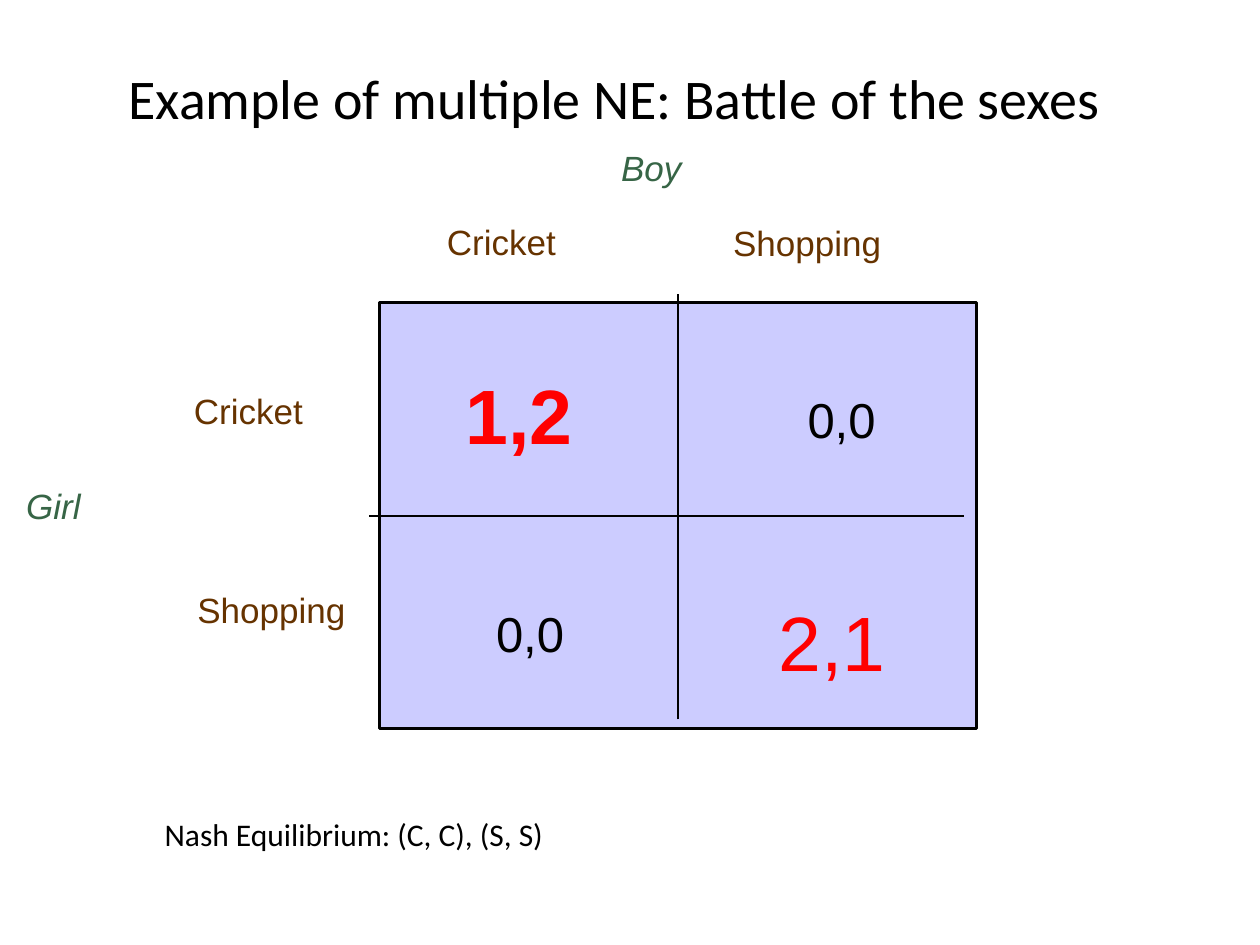
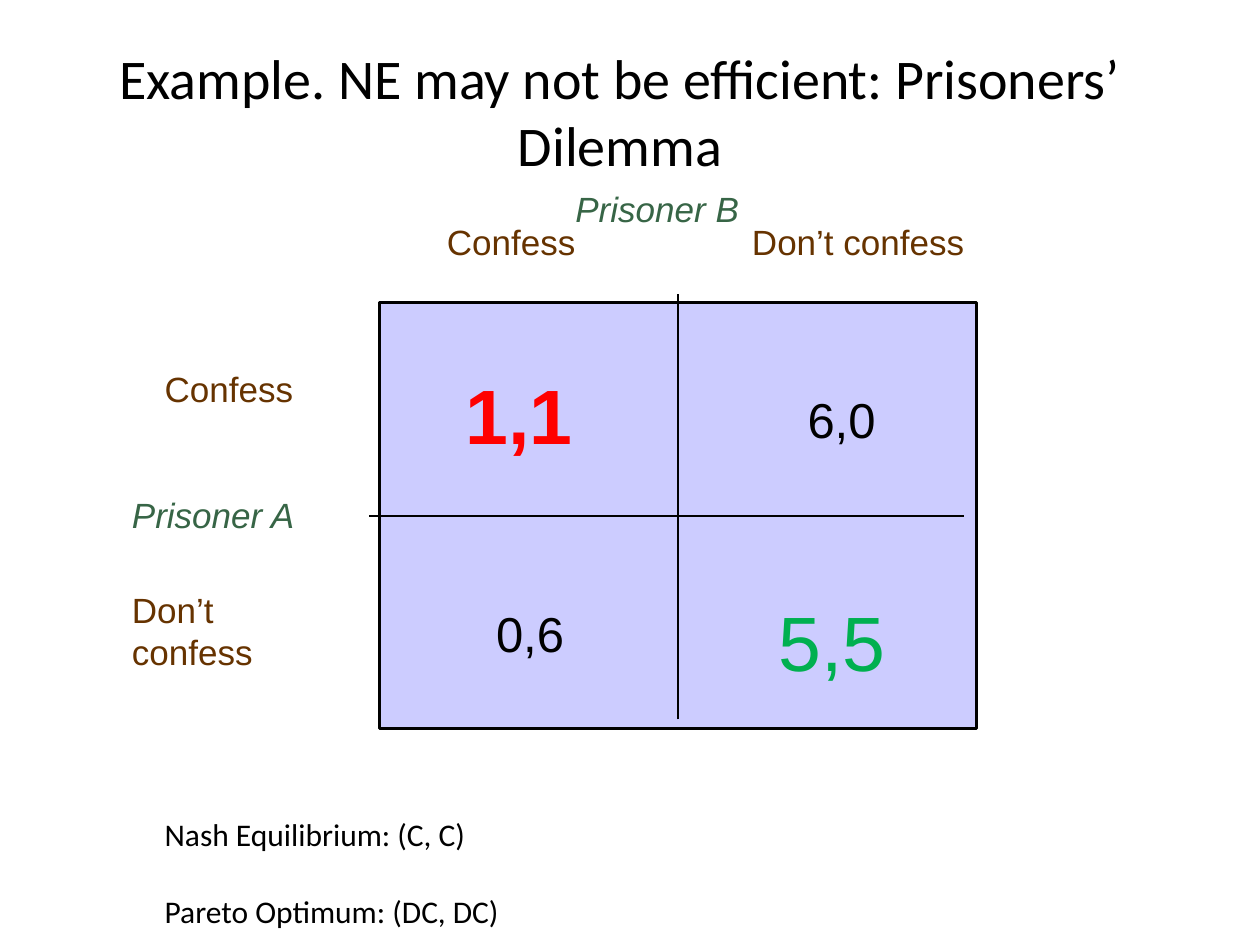
from dataclasses import dataclass

from lxml import etree
from pptx import Presentation
from pptx import util as u
from pptx.dml.color import RGBColor
from pptx.enum import shapes, text
from pptx.oxml import ns


@dataclass(frozen=True)
class Theme:
    black: str = "000000"
    red: str = "FF0000"
    green: str = "00B050"
    player: str = "376546"
    strategy: str = "663300"
    matrix: str = "CCCCFF"
    body_font: str = "Calibri"
    game_font: str = "Arial"
    title_size: int = 32
    label_size: int = 20
    note_size: int = 18
    payoff_size: int = 28
    key_size: int = 44


THEME = Theme()
MATRIX = (7.65, 6.1, 12.04, 8.59)
PAYOFF_BOXES = [
    (9.14, 7.29, 3.12, 2.13),
    (16.03, 7.72, 2.18, 1.45),
    (9.75, 12.04, 2.18, 1.45),
    (15.44, 11.86, 3.12, 2.13),
]


def cm(*lengths):
    return [u.Cm(length) for length in lengths]


def style(tf, size, color, font, bold=False, italic=False):
    for p in tf.paragraphs:
        for r in p.runs:
            r.font.size = u.Pt(size)
            r.font.name = font
            r.font.bold = bold
            r.font.italic = italic
            r.font.color.rgb = RGBColor.from_string(color)


def add_title(slide, words, left, top):
    sp = slide.shapes.title
    sp.left, sp.top, sp.width, sp.height = cm(left, top, 22.86, 3.18)
    tf = sp.text_frame
    tf.text = words
    tf.vertical_anchor = text.MSO_ANCHOR.MIDDLE
    tf.paragraphs[0].alignment = text.PP_ALIGN.CENTER
    style(tf, THEME.title_size, THEME.black, THEME.body_font)


def add_text(parent, words, box, size, color, font=THEME.game_font, **emphasis):
    tf = parent.add_textbox(*cm(*box)).text_frame
    tf.word_wrap = True
    tf.text = words
    style(tf, size, color, font, **emphasis)
    return tf


def add_player(slide, words, left, top):
    add_text(slide.shapes, words, (left, top, 4.06, 1.09),
             THEME.label_size, THEME.player, italic=True)


def add_strategy(slide, words, left, top, width=4.55):
    height = 1.09 + 0.87 * words.count("\n")
    add_text(slide.shapes, words, (left, top, width, height),
             THEME.label_size, THEME.strategy)


def add_rule(slide, *ends):
    line = slide.shapes.add_connector(shapes.MSO_CONNECTOR.STRAIGHT, *cm(*ends))
    line.line.color.rgb = RGBColor.from_string(THEME.black)
    line.line.width = u.Pt(1)
    etree.SubElement(line._element.spPr, ns.qn("a:effectLst"))


def add_matrix(slide, payoffs, last_color):
    left, top, width, height = MATRIX
    sp = slide.shapes.add_shape(shapes.MSO_SHAPE.RECTANGLE, *cm(*MATRIX))
    sp.shadow.inherit = False
    sp.fill.solid()
    sp.fill.fore_color.rgb = RGBColor.from_string(THEME.matrix)
    sp.line.color.rgb = RGBColor.from_string(THEME.black)
    sp.line.width = u.Pt(2)

    group = slide.shapes.add_group_shape().shapes
    colors = (THEME.red, THEME.black, THEME.black, last_color)
    for i, (payoff, box, color) in enumerate(zip(payoffs, PAYOFF_BOXES, colors)):
        size = THEME.payoff_size if color == THEME.black else THEME.key_size
        add_text(group, payoff, box, size, color, bold=i == 0)

    mid_x, mid_y = left + width / 2, top + height / 2
    add_rule(slide, left - 0.21, mid_y, left + width - 0.26, mid_y)
    add_rule(slide, mid_x, top + height - 0.19, mid_x, top - 0.18)


def add_note(slide, words):
    height = 1.8 + 0.77 * words.count("\n")
    tf = add_text(slide.shapes, words, (3.07, 16.31, 11.33, height),
                  THEME.note_size, THEME.black, THEME.body_font)
    for p in tf.paragraphs[1:]:
        p.space_before = u.Pt(22)


def add_game(prs, title, payoffs, last_color, players, strategies, note):
    slide = prs.slides.add_slide(prs.slide_layouts[5])
    add_title(slide, *title)
    add_matrix(slide, payoffs, last_color)
    for player in players:
        add_player(slide, *player)
    for strategy in strategies:
        add_strategy(slide, *strategy)
    add_note(slide, note)


def main():
    prs = Presentation()
    prs.slide_width, prs.slide_height = cm(25.4, 19.05)
    add_game(
        prs,
        ("Example of multiple NE: Battle of the sexes ", 1.09, 0.36),
        ("1,2", "0,0", "0,0", "2,1"),
        THEME.red,
        [("Girl", 0.28, 9.65), ("Boy", 12.27, 2.82)],
        [("Cricket", 8.76, 4.32), ("Shopping", 14.53, 4.34),
         ("Cricket", 3.66, 7.72, 3.73), ("Shopping", 3.73, 11.73)],
        "Nash Equilibrium: (C, C), (S, S)",
    )
    add_game(
        prs,
        ("Example. NE may not be efficient: Prisoners’ Dilemma", 1.07, 0.64),
        ("1,1", "6,0", "0,6", "5,5"),
        THEME.green,
        [("Prisoner A", 2.41, 9.83), ("Prisoner B", 11.35, 3.66)],
        [("Confess", 8.76, 4.32), ("Don’t confess", 14.91, 4.32, 6.35),
         ("Confess", 3.07, 7.29, 3.73), ("Don’t\nconfess", 2.41, 11.73)],
        "Nash Equilibrium: (C, C)\nPareto Optimum: (DC, DC)",
    )
    prs.save("out.pptx")


if __name__ == "__main__":
    main()
